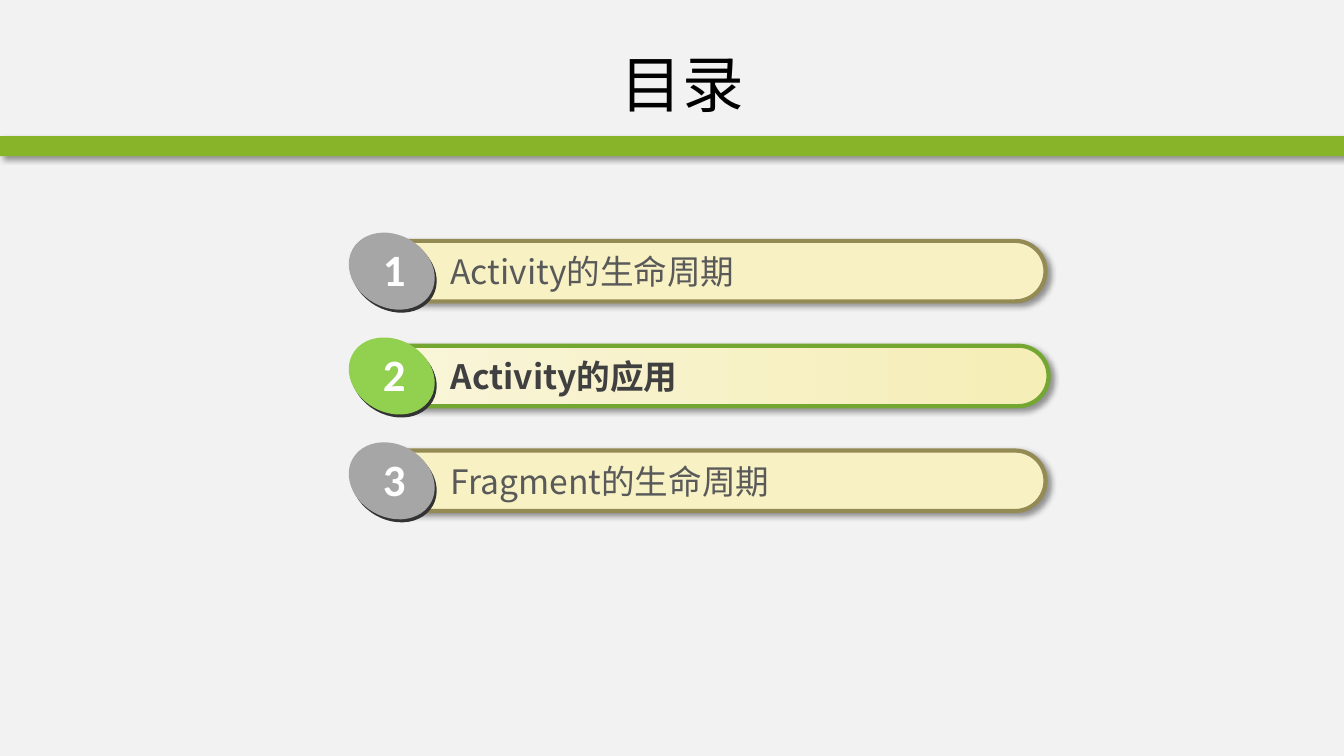
"""Build the contents slide with three numbered bars, the second highlighted."""
from lxml import etree
from pptx import Presentation
from pptx.dml.color import RGBColor
from pptx.enum.shapes import MSO_SHAPE as Shape
from pptx.enum.text import MSO_ANCHOR, MSO_AUTO_SIZE, PP_ALIGN
from pptx.oxml import parse_xml
from pptx.oxml.ns import nsdecls, qn
from pptx.util import Inches, Pt

TITLE = "目录"
CHAPTERS = [
    ("Activity的生命周期", "plain"),
    ("Activity的应用", "current"),
    ("Fragment的生命周期", "plain"),
]
STYLES = {
    "plain": {"fill": ["bar"], "line": "bar_line", "disc": "disc",
              "text": "text", "bold": False, "width": 6.71},
    "current": {"fill": ["glow_start", "glow_end"], "line": "current_line",
                "disc": "current_disc", "text": "current_text", "bold": True,
                "width": 6.74},
}
COLOURS = {
    "background": "F2F2F2", "band": "88B429", "title": "000000",
    "bar": "F7F1C4", "bar_line": "948A54", "text": "595959", "disc": "A6A6A6",
    "glow_start": "F9F5D9", "glow_end": "F5EEB7", "current_line": "74A731",
    "current_text": "404040", "current_disc": "92D050",
    "disc_edge": "333333", "number": "FFFFFF",
}
CJK_FONT, NUMBER_FONT = "Noto Sans CJK SC", "Calibri"
WIDTH, HEIGHT = 13.33, 7.5
FIRST_TOP, PITCH = 2.39, 1.04
BAR_LEFT, BAR_HEIGHT = 3.66, 0.6
DISC_SIZE, DISC_TILT = (0.89, 0.72), 29.3


def colour(name):
    return RGBColor.from_string(COLOURS[name])


def add_shadow(shape):
    shape._element.spPr.append(parse_xml(
        f'<a:effectLst {nsdecls("a")}><a:outerShdw blurRad="{Pt(4)}" '
        f'dist="{Pt(3)}" dir="2700000" algn="tl" rotWithShape="0">'
        '<a:srgbClr val="000000"><a:alpha val="40000"/></a:srgbClr>'
        '</a:outerShdw></a:effectLst>'))


def add_filled(shapes, kind, box, fills, line=None, shadow=False):
    shape = shapes.add_shape(kind, *map(Inches, box))
    if len(fills) == 1:
        shape.fill.solid()
        shape.fill.fore_color.rgb = colour(fills[0])
    else:
        shape.fill.gradient()
        shape.fill.gradient_angle = 0
        for stop, name, position in zip(shape.fill.gradient_stops, fills, (0, 1)):
            stop.color.rgb = colour(name)
            stop.position = position
    if line:
        shape.line.color.rgb = colour(line)
        shape.line.width = Pt(3)
    else:
        shape.line.fill.background()
    if shadow:
        add_shadow(shape)
    else:
        shape.shadow.inherit = False
    return shape


def add_text(shapes, box, text, size, font_name, colour_name, bold=False, wrap=True):
    shape = shapes.add_textbox(*map(Inches, box))
    frame = shape.text_frame
    frame.text = text
    frame.word_wrap = wrap
    frame.auto_size = MSO_AUTO_SIZE.SHAPE_TO_FIT_TEXT
    font = frame.paragraphs[0].runs[0].font
    font.size, font.name, font.bold = Pt(size), font_name, bold
    font.color.rgb = colour(colour_name)
    etree.SubElement(font._element, qn("a:ea")).set("typeface", font_name)
    return frame


def add_chapter(slide, index, text, style):
    shapes = slide.shapes.add_group_shape().shapes
    top = FIRST_TOP + index * PITCH
    bar = add_filled(shapes, Shape.ROUNDED_RECTANGLE,
                     (BAR_LEFT, top, style["width"], BAR_HEIGHT),
                     style["fill"], style["line"], shadow=True)
    bar.adjustments[0] = 0.5
    add_text(shapes, (4.37, top + 0.05, 5.34, 0.51), text, 24, CJK_FONT,
             style["text"], style["bold"])
    for left, lift, fill in ((3.46, 0.03, "disc_edge"), (3.44, 0.06, style["disc"])):
        disc = add_filled(shapes, Shape.OVAL, (left, top - lift, *DISC_SIZE), [fill])
        disc.rotation = DISC_TILT
    add_text(shapes, (3.7, top - 0.04, 0.43, 0.64), str(index + 1), 32,
             NUMBER_FONT, "number", bold=True, wrap=False)


def main():
    presentation = Presentation()
    presentation.slide_width, presentation.slide_height = Inches(WIDTH), Inches(HEIGHT)
    slide = presentation.slides.add_slide(presentation.slide_layouts[6])
    slide.background.fill.solid()
    slide.background.fill.fore_color.rgb = colour("background")
    add_filled(slide.shapes, Shape.RECTANGLE, (0, 1.35, WIDTH, 0.2), ["band"], shadow=True)
    title = add_text(slide.shapes, (1.39, 0.3, 10.76, 1.05), TITLE, 44, CJK_FONT, "title")
    title.auto_size = MSO_AUTO_SIZE.NONE
    title.vertical_anchor = MSO_ANCHOR.MIDDLE
    title.paragraphs[0].alignment = PP_ALIGN.CENTER
    for index, (text, style) in enumerate(CHAPTERS):
        add_chapter(slide, index, text, STYLES[style])
    presentation.save("out.pptx")


if __name__ == "__main__":
    main()
